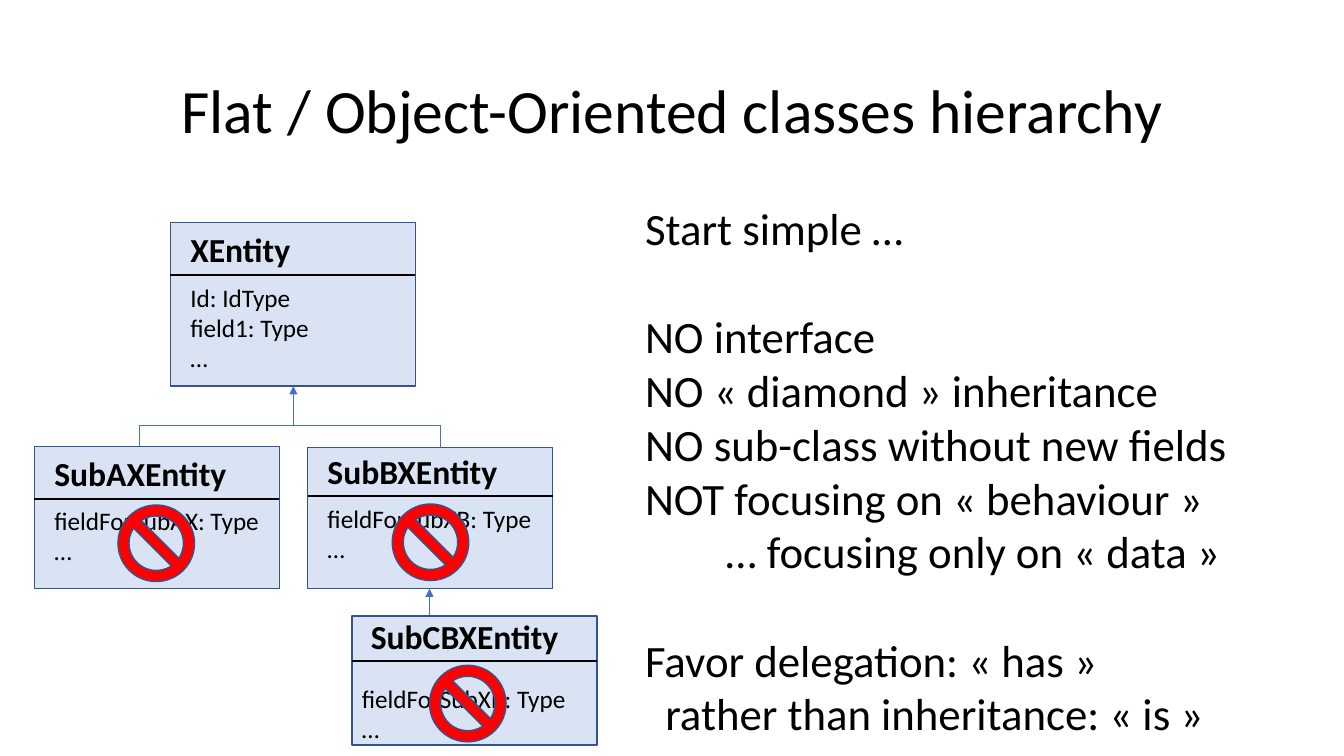
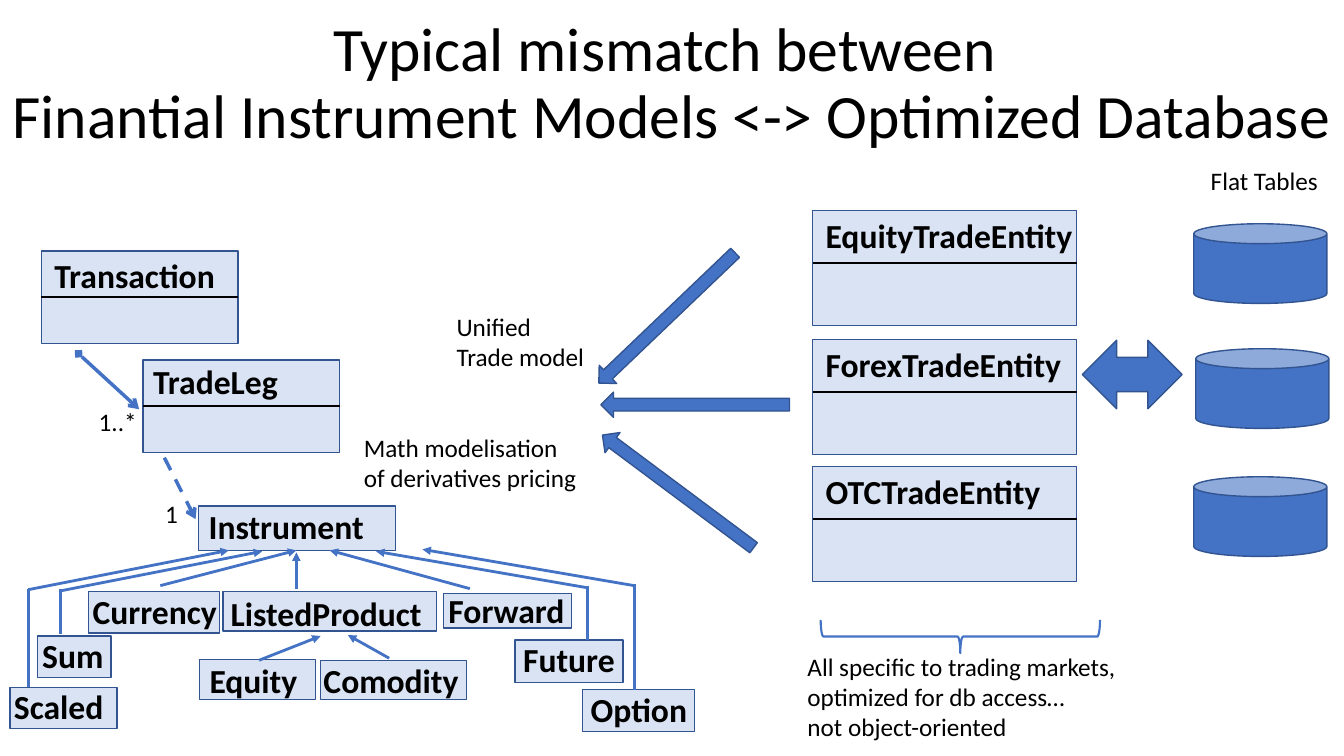
from lxml.etree import SubElement
from pptx import Presentation
from pptx.dml.color import RGBColor
from pptx.enum.dml import MSO_LINE
from pptx.enum.shapes import MSO_CONNECTOR, MSO_SHAPE
from pptx.enum.text import MSO_ANCHOR, PP_ALIGN
from pptx.oxml.ns import qn
from pptx.util import Pt

PX = 9144  # EMU per px, 100 px to the inch
WIDTH, HEIGHT = 1333, 750

BLACK = RGBColor(0x00, 0x00, 0x00)
BLUE = RGBColor(0x44, 0x72, 0xC4)
DARK_BLUE = RGBColor(0x32, 0x54, 0x91)
PALE_BLUE = RGBColor(0xDA, 0xE3, 0xF3)
RED = RGBColor(0xFF, 0x00, 0x00)

TITLE = {"name": "Calibri", "size": Pt(44)}
BODY = {"name": "Calibri", "size": Pt(32)}
CLASS_NAME = {"name": "Calibri", "size": Pt(24), "bold": True}
LABEL = {"name": "Calibri", "size": Pt(18)}


class Deck:
    """Holds the shared style and the slide being drawn."""

    def __init__(self):
        self.presentation = Presentation()
        self.presentation.slide_width = WIDTH * PX
        self.presentation.slide_height = HEIGHT * PX
        self.slide = None

    def new_slide(self, title, x, y, width):
        layout = self.presentation.slide_layouts[6]
        self.slide = self.presentation.slides.add_slide(layout)
        paragraph = self.text(x, y, width, 145, [title], TITLE, MSO_ANCHOR.MIDDLE)[0]
        for key, value in {"alignment": PP_ALIGN.CENTER, "line_spacing": 0.9}.items():
            setattr(paragraph, key, value)

    def text(self, x, y, width, height, lines, style=LABEL, anchor=MSO_ANCHOR.TOP):
        box = self.slide.shapes.add_textbox(x * PX, y * PX, width * PX, height * PX)
        frame = box.text_frame
        frame.word_wrap = True
        frame.vertical_anchor = anchor
        for index, line in enumerate(lines):
            paragraph = frame.add_paragraph() if index else frame.paragraphs[0]
            paragraph.text = line
            for run in paragraph.runs:
                for key, value in style.items():
                    setattr(run.font, key, value)
                run.font.color.rgb = BLACK
        return frame.paragraphs

    def indent(self, paragraph, left):
        properties = paragraph._p.get_or_add_pPr()
        properties.set("marL", str(left * PX))
        properties.set("indent", "0")

    def shape(self, kind, x, y, width, height, fill=BLUE, line=DARK_BLUE,
              weight=1, rotation=0):
        shape = self.slide.shapes.add_shape(
            kind, x * PX, y * PX, width * PX, height * PX)
        shape.shadow.inherit = False
        shape.rotation = rotation
        if fill is None:
            shape.fill.background()
        else:
            shape.fill.solid()
            shape.fill.fore_color.rgb = fill
        shape.line.color.rgb = line
        shape.line.width = Pt(weight)
        return shape

    def line(self, start, end, color=BLUE, weight=2, head=None, tail=None, dash=None):
        connector = self.slide.shapes.add_connector(
            MSO_CONNECTOR.STRAIGHT, *(value * PX for value in (*start, *end)))
        connector.line.color.rgb = color
        connector.line.width = Pt(weight)
        if dash:
            connector.line.dash_style = dash
        for tag, kind in (("a:headEnd", head), ("a:tailEnd", tail)):
            if kind:
                SubElement(connector.line._get_or_add_ln(), qn(tag), type=kind)
        SubElement(connector._element.spPr, qn("a:effectLst"))

    def class_box(self, x, y, width, height, name, name_dx, name_dy, divider=None):
        """A class rectangle with its name and, if given, a divider below it."""
        self.shape(MSO_SHAPE.RECTANGLE, x, y, width, height, PALE_BLUE)
        self.text(x + name_dx, y + name_dy, width + 30, 50, [name], CLASS_NAME)
        if divider:
            self.line((x, y + divider), (x + width, y + divider), BLACK, 1.5)

    def forbidden(self, x, y):
        sign = self.shape(MSO_SHAPE.NO_SYMBOL, x, y, 76, 76, RED)
        sign.adjustments[0] = 0.145


def draw_hierarchy(deck):
    deck.new_slide("Flat / Object-Oriented classes hierarchy", 92, 40, 1150)

    # Classes, each with the place and text of its fields
    classes = [
        ((169, 221, 243, 162, "XEntity", 10, 1, 52),
         (179, 275), ["Id: IdType", "field1: Type", "…"]),
        ((34, 443, 243, 141, "SubAXEntity", 10, 1, 52),
         (44, 496), ["fieldForSubAX: Type", "…"]),
        ((305, 444, 243, 140, "SubBXEntity", 10, -2, 48),
         (315, 494), ["fieldForSubXB: Type", "…"]),
        ((349, 611, 243, 128, "SubCBXEntity", 9, -5, 45),
         (349, 673), ["fieldForSubXB: Type", "…"]),
    ]
    for box, (x, y), fields in classes:
        deck.class_box(*box)
        deck.text(x, y, 243, 10 + 30 * len(fields), fields)

    # Inheritance lines
    for start, end, tail in [
        ((291, 422), (291, 383), "triangle"),
        ((138, 422), (437, 422), None),
        ((138, 442), (138, 422), None),
        ((437, 444), (437, 422), None),
        ((426, 610), (426, 584), "triangle"),
    ]:
        deck.line(start, end, weight=0.5, tail=tail)

    for x, y in [(389, 500), (426, 660), (117, 501)]:
        deck.forbidden(x, y)

    # Advice
    advice = deck.text(630, 194, 640, 549, [
        "Start simple …",
        "NO interface",
        "NO « diamond » inheritance",
        "NO sub-class without new fields",
        "NOT focusing on « behaviour »",
        "… focusing only on « data »",
        "Favor delegation: « has »",
        "rather than inheritance: « is »",
    ], BODY)
    for index in (1, 6):
        advice[index].space_before = Pt(39)
    for index, left in ((5, 80), (7, 20)):
        deck.indent(advice[index], left)


def draw_mismatch(deck):
    deck.new_slide("Typical mismatch between \v"
                   "Finantial Instrument Models <-> Optimized Database", 0, 12, WIDTH)

    # Trade entities and their flat tables
    for name, y, table_x, table_y in [
        ("EquityTradeEntity", 209, 1184, 222),
        ("ForexTradeEntity", 337, 1186, 346),
        ("OTCTradeEntity", 463, 1184, 473),
    ]:
        deck.class_box(806, y, 262, 114, name, 3, -1, 52)
        deck.shape(MSO_SHAPE.CAN, table_x, table_y, 132, 79)
    deck.shape(MSO_SHAPE.UP_DOWN_ARROW, 1089, 322, 68, 99, rotation=270)
    deck.shape(MSO_SHAPE.LEFT_BRACE, 936, 493, 33, 277, None, BLUE, 1.5, 270)

    # Arrows towards the unified model
    for x, y, rotation in [(649, 222, 46.3), (677, 308, 90), (660, 394, 126.7)]:
        deck.shape(MSO_SHAPE.DOWN_ARROW, x, y, 25, 187, rotation=rotation)

    # Object model classes
    for box in [
        (41, 249, 195, 92, "Transaction", 3, -1, 46),
        (142, 357, 195, 92, "TradeLeg", 0, -4, 46),
        (197, 502, 195, 44, "Instrument", 0, -5),
        (88, 587, 130, 41, "Currency", -6, -6),
        (221, 587, 212, 39, "ListedProduct", -2, -4),
        (198, 654, 115, 40, "Equity", 0, -4),
        (318, 655, 145, 39, "Comodity", -7, -5),
        (440, 589, 127, 34, "Forward", -5, -9),
        (511, 635, 107, 42, "Future", -2, -6),
        (578, 684, 111, 42, "Option", -2, -5),
        (37, 631, 73, 41, "Sum", -5, -6),
        (10, 682, 106, 41, "Scaled", -6, -6),
    ]:
        deck.class_box(*box)

    # Inheritance arrows
    for start, end in [
        ((159, 581), (294, 546)),
        ((294, 584), (294, 548)),
        ((257, 655), (318, 631)),
        ((386, 653), (345, 630)),
        ((466, 584), (327, 546)),
        ((582, 583), (373, 547)),
        ((629, 581), (419, 545)),
        ((61, 586), (260, 547)),
        ((28, 585), (227, 546)),
    ]:
        deck.line(start, end, tail="triangle")
    for x, bottom, top in [(629, 685, 579), (583, 635, 581),
                           (60, 629, 584), (28, 682, 584)]:
        deck.line((x, bottom), (x, top))

    # Associations
    deck.line((78, 351), (138, 406), weight=2.5, head="diamond", tail="arrow")
    deck.line((163, 454), (194, 515), weight=2.5, tail="arrow", dash=MSO_LINE.DASH)

    # Labels
    for x, y, width, lines in [
        (1191, 159, 135, ["Flat Tables"]),
        (791, 641, 345, ["All specific to trading markets,",
                         "optimized for db access…", "not object-oriented"]),
        (443, 304, 158, ["Unified", "Trade model"]),
        (351, 424, 244, ["Math modelisation", "of derivatives pricing"]),
        (154, 489, 40, ["1"]),
        (88, 398, 65, ["1..*"]),
    ]:
        deck.text(x, y, width, 10 + 30 * len(lines), lines)


def main():
    deck = Deck()
    draw_hierarchy(deck)
    draw_mismatch(deck)
    deck.presentation.save("out.pptx")


if __name__ == "__main__":
    main()
